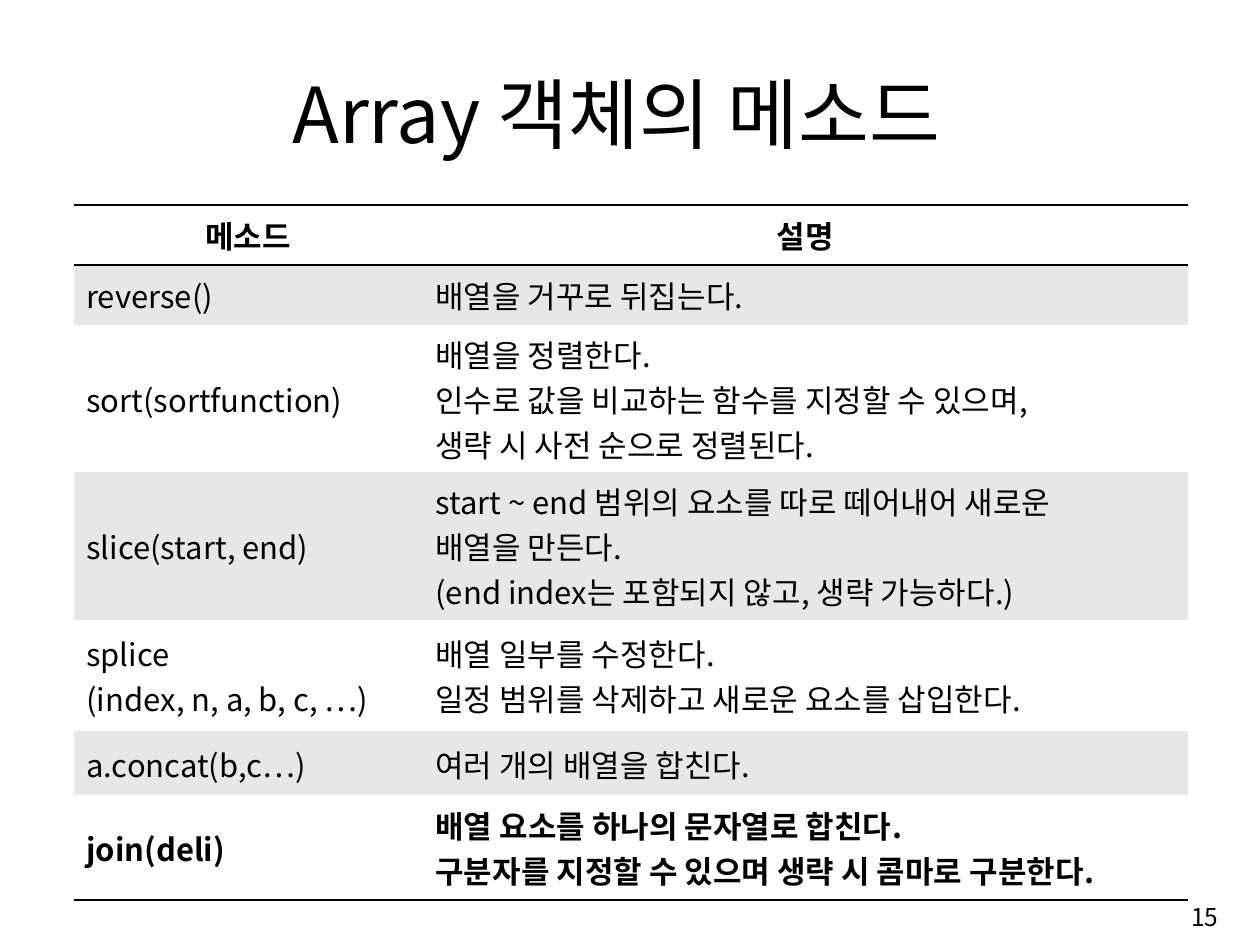
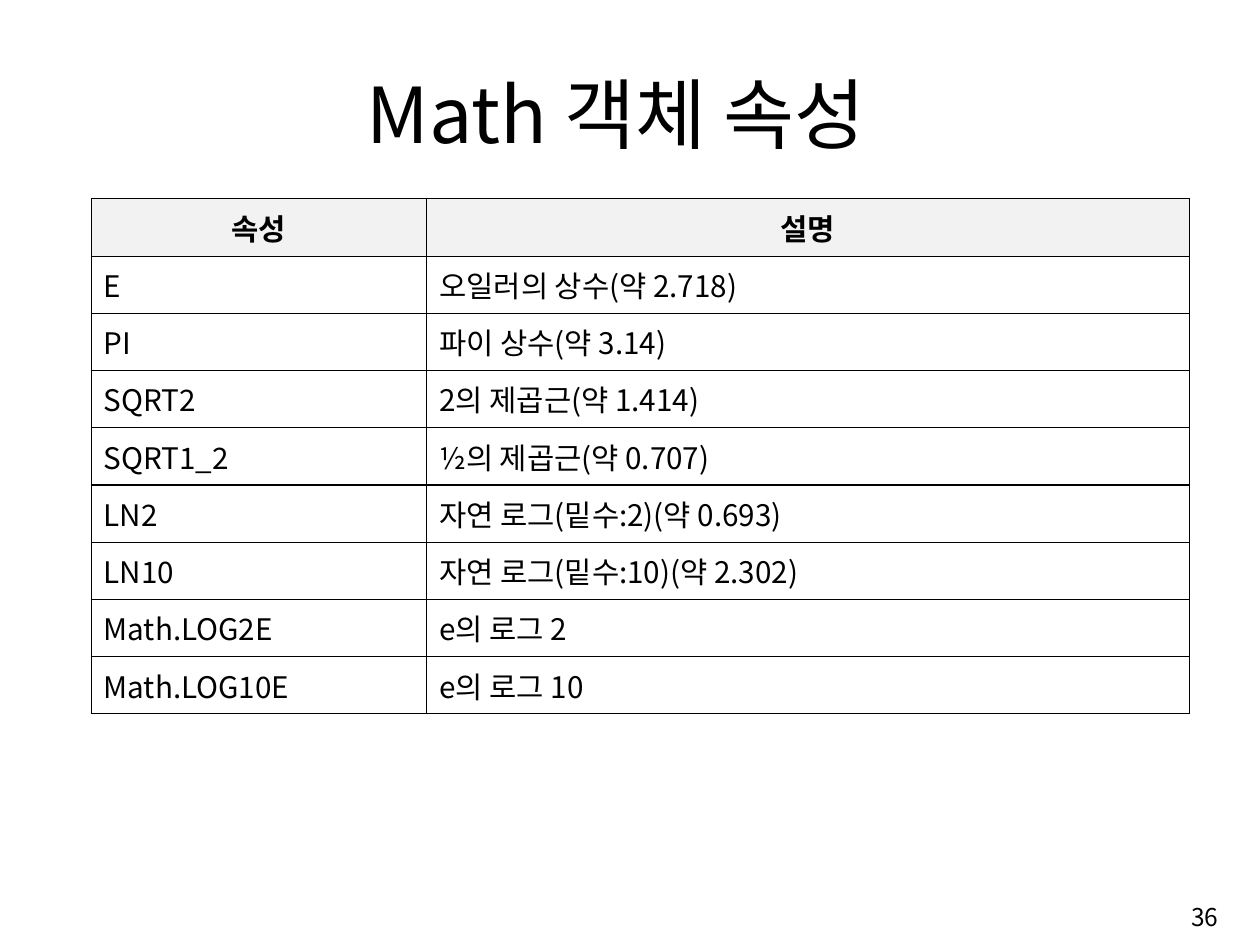
from dataclasses import dataclass

from lxml.etree import SubElement
from pptx import Presentation
from pptx.dml.color import RGBColor
from pptx.enum.text import MSO_ANCHOR, MSO_AUTO_SIZE, PP_ALIGN
from pptx.oxml.ns import qn
from pptx.util import Inches, Pt


@dataclass(frozen=True)
class Theme:
    font: str = "Noto Sans CJK KR"
    ink: str = "000000"
    paper: str = "FFFFFF"
    band: str = "E7E7E7"
    header: str = "F2F2F2"
    title_size: float = 57.2
    number_size: float = 18.2
    plain_table: str = "{2D5ABB26-0587-4C30-8999-92F81FD0307C}"


THEME = Theme()

SLIDES = [
    {
        "title": "Array 객체의 메소드",
        "number": "15",
        "at": (0.76, 2.11),
        "columns": (3.6, 7.89),
        "heights": (0.62, 0.62, 1.52, 1.52, 1.15, 0.66, 1.08),
        "size": 23,
        "header_fill": THEME.paper,
        "band_fill": THEME.band,
        "grid": False,
        "bold_rows": (0, 6),
        "rows": [
            ("메소드", "설명"),
            ("reverse()", "배열을 거꾸로 뒤집는다."),
            ("sort(sortfunction)",
             "배열을 정렬한다.\n인수로 값을 비교하는 함수를 지정할 수 있으며,\n"
             "생략 시 사전 순으로 정렬된다."),
            ("slice(start, end)",
             "start ~ end 범위의 요소를 따로 떼어내어 새로운\n배열을 만든다.\n"
             "(end index는 포함되지 않고, 생략 가능하다.)"),
            ("splice\n(index, n, a, b, c, …)",
             "배열 일부를 수정한다.\n일정 범위를 삭제하고 새로운 요소를 삽입한다."),
            ("a.concat(b,c…)", "여러 개의 배열을 합친다."),
            ("join(deli)",
             "배열 요소를 하나의 문자열로 합친다.\n"
             "구분자를 지정할 수 있으며 생략 시 콤마로 구분한다."),
        ],
    },
    {
        "title": "Math 객체 속성",
        "number": "36",
        "at": (0.94, 2.05),
        "columns": (3.46, 7.86),
        "heights": (0.59,) * 9,
        "size": 22,
        "header_fill": THEME.header,
        "band_fill": THEME.paper,
        "grid": True,
        "bold_rows": (0,),
        "rows": [
            ("속성", "설명"),
            ("E", "오일러의 상수(약 2.718)"),
            ("PI", "파이 상수(약 3.14)"),
            ("SQRT2", "2의 제곱근(약 1.414)"),
            ("SQRT1_2", "½의 제곱근(약 0.707)"),
            ("LN2", "자연 로그(밑수:2)(약 0.693)"),
            ("LN10", "자연 로그(밑수:10)(약 2.302)"),
            ("Math.LOG2E", "e의 로그 2"),
            ("Math.LOG10E", "e의 로그 10"),
        ],
    },
]


def write_text(frame, text, size, bold=False, align=PP_ALIGN.LEFT,
               anchor=MSO_ANCHOR.MIDDLE):
    """Fill a text frame with one paragraph per line of text."""
    frame.word_wrap = True
    frame.vertical_anchor = anchor
    frame.text = text
    for paragraph in frame.paragraphs:
        paragraph.alignment = align
        for run in paragraph.runs:
            run.font.size = Pt(size)
            run.font.bold = bold
            run.font.name = THEME.font
            run.font.color.rgb = RGBColor.from_string(THEME.ink)
            SubElement(run.font._element, qn("a:ea"), typeface=THEME.font)


def draw_borders(cell, sides, width):
    """Rule the given sides, listed in the order L, R, T, B."""
    properties = cell._tc.get_or_add_tcPr()
    for side in sides:
        line = SubElement(properties, qn(f"a:ln{side}"), w=str(Pt(width)))
        fill = SubElement(line, qn("a:solidFill"))
        SubElement(fill, qn("a:srgbClr"), val=THEME.ink)


presentation = Presentation()
presentation.slide_width = Inches(12.99)
presentation.slide_height = Inches(9.74)
title_only = presentation.slide_layouts[5]

for content in SLIDES:
    slide = presentation.slides.add_slide(title_only)

    title = slide.shapes.title
    title.left, title.top = Inches(1.05), Inches(0.61)
    title.width, title.height = Inches(10.61), Inches(1.08)
    title.text_frame.auto_size = MSO_AUTO_SIZE.NONE
    write_text(title.text_frame, content["title"], THEME.title_size,
               align=PP_ALIGN.CENTER, anchor=MSO_ANCHOR.BOTTOM)

    left, top = content["at"]
    rows, columns, heights = content["rows"], content["columns"], content["heights"]
    table = slide.shapes.add_table(
        len(rows), len(columns), Inches(left), Inches(top),
        Inches(sum(columns)), Inches(sum(heights))).table
    table._tbl.tblPr.find(qn("a:tableStyleId")).text = THEME.plain_table
    for column, width in zip(table.columns, columns):
        column.width = Inches(width)

    for index, (row, height, texts) in enumerate(zip(table.rows, heights, rows)):
        row.height = Inches(height)
        is_header = index == 0
        if is_header:
            fill = content["header_fill"]
        else:
            fill = content["band_fill"] if index % 2 else THEME.paper
        for cell, text in zip(row.cells, texts):
            cell.margin_left = cell.margin_right = Inches(0.13)
            cell.margin_top = cell.margin_bottom = Inches(0.06)
            cell.vertical_anchor = MSO_ANCHOR.MIDDLE
            if content["grid"]:
                draw_borders(cell, "LRTB", 1)
            elif is_header:
                draw_borders(cell, "TB", 2)
            elif index == len(rows) - 1:
                draw_borders(cell, "B", 2)
            cell.fill.solid()
            cell.fill.fore_color.rgb = RGBColor.from_string(fill)
            write_text(cell.text_frame, text, content["size"],
                       bold=index in content["bold_rows"],
                       align=PP_ALIGN.CENTER if is_header else PP_ALIGN.LEFT)
            cell.vertical_anchor = MSO_ANCHOR.MIDDLE

    number = slide.shapes.add_textbox(
        Inches(9.98), Inches(9.15), Inches(2.68), Inches(0.6))
    write_text(number.text_frame, content["number"], THEME.number_size,
               align=PP_ALIGN.RIGHT)

presentation.save("out.pptx")
